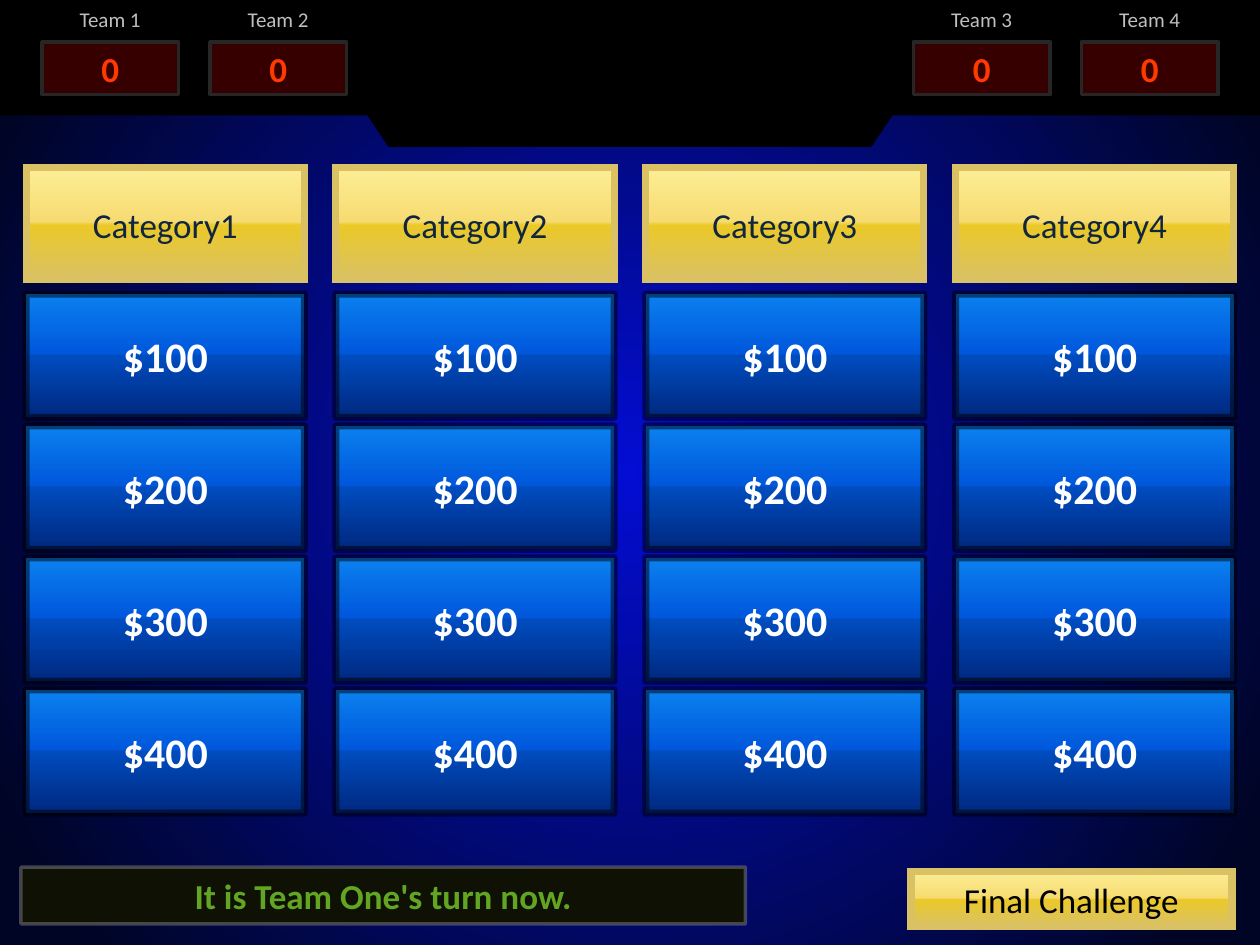
from dataclasses import dataclass

from pptx import Presentation
from pptx.dml.color import RGBColor
from pptx.enum.shapes import MSO_SHAPE
from pptx.enum.text import MSO_ANCHOR, PP_ALIGN
from pptx.oxml import parse_xml
from pptx.oxml.ns import nsdecls, qn
from pptx.util import Pt

Stops = list[tuple[int, str]]

# Gradient stops run from top to bottom
BLUE: Stops = [(0, "0B80EF"), (48, "0058DC"), (50, "004CBF"), (100, "00287F")]
GOLD: Stops = [(0, "FDED95"), (48, "F6DB71"), (51, "EBC929"), (100, "D9C164")]
GLOW: Stops = [(0, "030DD3"), (91, "000525")]
DOWN = '<a:lin ang="5400000" scaled="0"/>'
RADIAL = ('<a:path path="circle"><a:fillToRect l="50000" t="50000" '
          'r="50000" b="50000"/></a:path>')

COLUMN_LEFT, COLUMN_STEP, COLUMN_WIDTH = 15, 177, 159
CATEGORY_TOP, CATEGORY_HEIGHT = 96, 64
PRIZE_TOP, PRIZE_STEP, PRIZE_HEIGHT = 168, 75.4, 70.5
SCORE_WIDTH = 78


@dataclass(frozen=True)
class Box:
    left: float
    top: float
    width: float
    height: float

    def emu(self) -> list[int]:
        return [Pt(v) for v in (self.left, self.top, self.width, self.height)]


@dataclass(frozen=True)
class Border:
    color: str
    width: float
    alpha: int = 100
    miter: bool = False


@dataclass(frozen=True)
class Team:
    name: str
    left: float
    score: str = "0"


GOLD_BORDER = Border("D9C164", 4, miter=True)
BLUE_BORDER = Border("000000", 4, alpha=50)
SCORE_BORDER = Border("262626", 2)
TEAMS = [Team("Team 1", 24), Team("Team 2", 120),
         Team("Team 3", 522), Team("Team 4", 618)]
CATEGORIES = ["Category1", "Category2", "Category3", "Category4"]
PRIZES = ["$100", "$200", "$300", "$400"]


def rgb(color: str) -> RGBColor:
    return RGBColor.from_string(color)


def write(sp, text: str, *, size: float, color: str, bold: bool = False,
          anchor=MSO_ANCHOR.MIDDLE) -> None:
    tf = sp.text_frame
    tf.word_wrap = True
    tf.vertical_anchor = anchor
    p = tf.paragraphs[0]
    p.alignment = PP_ALIGN.CENTER
    r = p.add_run()
    r.text = text
    r.font.name = "Calibri"
    r.font.size = Pt(size)
    r.font.bold = bold
    r.font.color.rgb = rgb(color)


def fill_gradient(sp, stops: Stops, direction: str) -> None:
    sp.fill.background()
    gs = "".join(f'<a:gs pos="{pos * 1000}"><a:srgbClr val="{color}"/></a:gs>'
                 for pos, color in stops)
    grad = parse_xml(f'<a:gradFill {nsdecls("a")} rotWithShape="1">'
                     f'<a:gsLst>{gs}</a:gsLst>{direction}</a:gradFill>')
    spPr = sp._element.spPr
    spPr.replace(spPr.find(qn("a:noFill")), grad)


def set_border(sp, border: Border | None) -> None:
    if border is None:
        sp.line.fill.background()
        return
    sp.line.color.rgb = rgb(border.color)
    sp.line.width = Pt(border.width)
    ln = sp._element.spPr.find(qn("a:ln"))
    if border.alpha < 100:
        ln.find(".//" + qn("a:srgbClr")).append(
            parse_xml(f'<a:alpha {nsdecls("a")} val="{border.alpha * 1000}"/>'))
    if border.miter:
        ln.append(parse_xml(f'<a:miter {nsdecls("a")} lim="800000"/>'))


def add_panel(slide, box: Box, fill: str | Stops, border: Border | None = None,
              kind=MSO_SHAPE.RECTANGLE, direction: str = DOWN):
    """Add a shape with a solid colour (string) or a gradient (stops)."""
    sp = slide.shapes.add_shape(kind, *box.emu())
    sp.shadow.inherit = False
    if isinstance(fill, str):
        sp.fill.solid()
        sp.fill.fore_color.rgb = rgb(fill)
    else:
        fill_gradient(sp, fill, direction)
    set_border(sp, border)
    return sp


def add_backdrop(slide) -> None:
    add_panel(slide, Box(0, 0, 720, 540), GLOW, direction=RADIAL)
    notch = add_panel(slide, Box(198, 48, 324, 36), "000000",
                      kind=MSO_SHAPE.TRAPEZOID)
    notch.adjustments[0] = 0.667
    notch._element.spPr.find(qn("a:xfrm")).set("flipV", "1")
    add_panel(slide, Box(0, 0, 720, 66), "000000")


def add_column(slide, index: int, category: str) -> None:
    left = COLUMN_LEFT + index * COLUMN_STEP
    for row, prize in enumerate(PRIZES):
        box = Box(left, PRIZE_TOP + row * PRIZE_STEP, COLUMN_WIDTH, PRIZE_HEIGHT)
        write(add_panel(slide, box, BLUE, BLUE_BORDER), prize,
              size=24, color="FFFFFF", bold=True)
    header = Box(left, CATEGORY_TOP, COLUMN_WIDTH, CATEGORY_HEIGHT)
    write(add_panel(slide, header, GOLD, GOLD_BORDER), category,
          size=20, color="10253F")


def add_team(slide, team: Team) -> None:
    score = add_panel(slide, Box(team.left, 24, SCORE_WIDTH, 30), "360000",
                      SCORE_BORDER)
    write(score, team.score, size=20, color="FF3A00", bold=True)
    label = slide.shapes.add_textbox(*Box(team.left, 0, SCORE_WIDTH, 24).emu())
    write(label, team.name, size=12, color="BFBFBF", anchor=MSO_ANCHOR.TOP)


def main() -> None:
    prs = Presentation()
    prs.slide_width, prs.slide_height = Pt(720), Pt(540)
    slide = prs.slides.add_slide(prs.slide_layouts[6])

    add_backdrop(slide)
    turn = add_panel(slide, Box(12, 495.5, 414, 32.5), "0E1103",
                     Border("808080", 2, alpha=50))
    write(turn, "It is Team One's turn now.", size=20, color="62A523", bold=True)
    for index, category in enumerate(CATEGORIES):
        add_column(slide, index, category)
    for team in TEAMS:
        add_team(slide, team)
    final = add_panel(slide, Box(520.5, 498, 183.5, 31.5), GOLD,
                      Border("D9C164", 4.5, miter=True))
    write(final, "Final Challenge", size=20, color="000000")

    prs.save("out.pptx")


if __name__ == "__main__":
    main()
